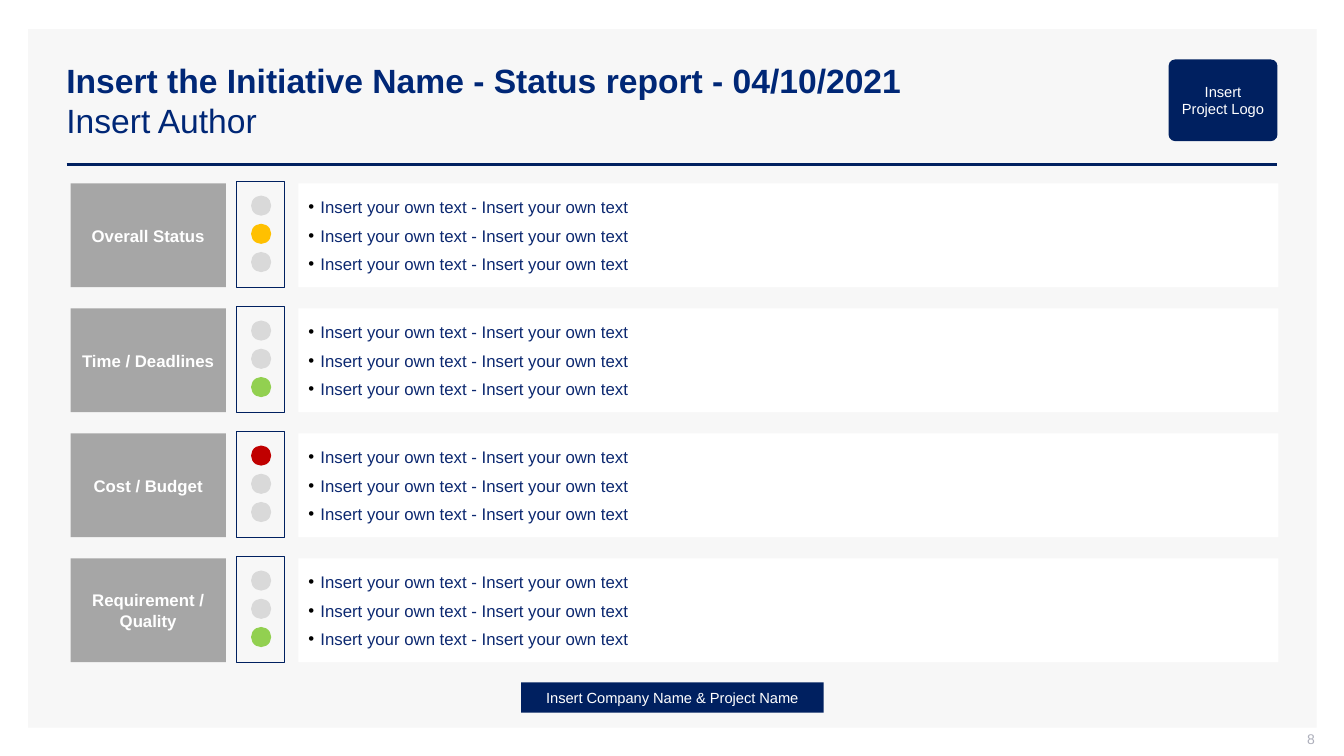
from lxml import etree
from pptx import Presentation
from pptx.dml.color import RGBColor
from pptx.enum.shapes import MSO_CONNECTOR, MSO_SHAPE as Shape
from pptx.enum.text import MSO_ANCHOR, PP_ALIGN as Align
from pptx.oxml.ns import qn
from pptx.util import Inches, Pt

NAVY = RGBColor(0x00, 0x20, 0x60)
TITLE_BLUE = RGBColor(0x00, 0x27, 0x76)
TEXT_BLUE = RGBColor(0x0C, 0x28, 0x70)
PANEL_GRAY = RGBColor(0xF7, 0xF7, 0xF7)
LABEL_GRAY = RGBColor(0xA6, 0xA6, 0xA6)
NUMBER_GRAY = RGBColor(0xAD, 0xAF, 0xBB)
WHITE = RGBColor(0xFF, 0xFF, 0xFF)
OFF = RGBColor(0xD9, 0xD9, 0xD9)
RED = RGBColor(0xC0, 0x00, 0x00)
AMBER = RGBColor(0xFF, 0xC0, 0x00)
GREEN = RGBColor(0x92, 0xD0, 0x50)

STATUSES = [
    ("Overall Status", (OFF, AMBER, OFF)),
    ("Time / Deadlines", (OFF, OFF, GREEN)),
    ("Cost / Budget", (RED, OFF, OFF)),
    ("Requirement / Quality", (OFF, OFF, GREEN)),
]
REMARKS = ["Insert your own text - Insert your own text"] * 3
ROW_TOP, ROW_PITCH, ROW_HEIGHT = 1.82, 1.24, 1.03
LAMP_PITCH = 0.28


class StatusSlide:
    """Draws the elements of a status report in one style on one slide."""

    font = "Arial"

    def __init__(self, slide):
        self.slide = slide

    def box(self, left, top, width, height, fill=None, kind=Shape.RECTANGLE, line=None):
        shape = self.slide.shapes.add_shape(
            kind, Inches(left), Inches(top), Inches(width), Inches(height))
        shape.shadow.inherit = False
        if fill is None:
            shape.fill.background()
        else:
            shape.fill.solid()
            shape.fill.fore_color.rgb = fill
        if line is None:
            shape.line.fill.background()
        else:
            shape.line.color.rgb = line
            shape.line.width = Pt(0.75)
        return shape

    def text_box(self, left, top, width, height):
        return self.slide.shapes.add_textbox(
            Inches(left), Inches(top), Inches(width), Inches(height))

    def frame(self, shape, insets=(0.1, 0.05, 0.1, 0.05)):
        frame = shape.text_frame
        frame.word_wrap = True
        frame.vertical_anchor = MSO_ANCHOR.MIDDLE
        (frame.margin_left, frame.margin_top,
         frame.margin_right, frame.margin_bottom) = map(Inches, insets)
        return frame

    def run(self, paragraph, text, size, color, bold=False):
        run = paragraph.add_run()
        run.text = text
        run.font.name = self.font
        run.font.size = Pt(size)
        run.font.bold = bold
        run.font.color.rgb = color

    def caption(self, shape, text, size, color=WHITE, bold=False,
                align=Align.CENTER, **frame_style):
        paragraph = self.frame(shape, **frame_style).paragraphs[0]
        paragraph.alignment = align
        self.run(paragraph, text, size, color, bold)

    def bullets(self, shape, remarks):
        frame = self.frame(shape)
        for index, remark in enumerate(remarks):
            paragraph = frame.add_paragraph() if index else frame.paragraphs[0]
            paragraph.alignment = Align.LEFT
            if index:
                paragraph.space_before = Pt(6)
            props = paragraph._p.get_or_add_pPr()
            props.set("marL", str(Inches(0.12)))
            props.set("indent", str(-Inches(0.12)))
            bullet_color = etree.SubElement(props, qn("a:buClr"))
            etree.SubElement(bullet_color, qn("a:srgbClr"), val="000000")
            etree.SubElement(props, qn("a:buFont"), typeface=self.font)
            etree.SubElement(props, qn("a:buChar"), char="•")
            self.run(paragraph, remark, 12, TEXT_BLUE)

    def rule(self, left, right, top):
        rule = self.slide.shapes.add_connector(
            MSO_CONNECTOR.STRAIGHT, Inches(left), Inches(top), Inches(right), Inches(top))
        rule.line.color.rgb = NAVY
        rule.line.width = Pt(2)
        etree.SubElement(rule._element.spPr, qn("a:effectLst"))

    def title(self, heading, author):
        title = self.text_box(0.56, 0.4, 11, 1.19)
        paragraph = self.frame(title).paragraphs[0]
        self.run(paragraph, heading, 24, TITLE_BLUE, bold=True)
        paragraph.add_line_break()
        self.run(paragraph, author, 24, TITLE_BLUE)

    def traffic_light(self, top, lamps):
        self.box(2.35, top - 0.02, 0.47, 1.05, line=NAVY)
        for index, lamp in enumerate(lamps):
            self.box(2.49, top + 0.12 + index * LAMP_PITCH, 0.2, 0.2, lamp, Shape.OVAL)

    def status_row(self, top, label, lamps, remarks):
        self.bullets(self.box(2.96, top, 9.72, ROW_HEIGHT, WHITE), remarks)
        self.caption(self.box(0.7, top, 1.54, ROW_HEIGHT, LABEL_GRAY), label, 12,
                     bold=True, insets=(0, 0.05, 0, 0.05))
        self.traffic_light(top, lamps)


def main():
    deck = Presentation()
    deck.slide_width, deck.slide_height = Inches(13.33), Inches(7.5)
    report = StatusSlide(deck.slides.add_slide(deck.slide_layouts[6]))

    report.box(0.28, 0.29, 12.78, 6.93, PANEL_GRAY)
    report.rule(0.66, 12.67, 1.63)
    report.title("Insert the Initiative Name - Status report - 04/10/2021", "Insert Author")
    report.caption(report.text_box(10.04, 7.25, 3, 0.21), "8", 10, NUMBER_GRAY,
                   align=Align.RIGHT, insets=(0.1, 0, 0, 0.05))

    project_logo = report.box(11.59, 0.59, 1.08, 0.81, NAVY, Shape.ROUNDED_RECTANGLE)
    project_logo.adjustments[0] = 0.08
    report.caption(project_logo, "Insert Project Logo", 10.5)
    report.caption(report.box(5.17, 6.77, 3, 0.3, NAVY),
                   "Insert Company Name & Project Name", 10.5)

    for index, (label, lamps) in enumerate(STATUSES):
        report.status_row(ROW_TOP + index * ROW_PITCH, label, lamps, REMARKS)

    deck.save("out.pptx")


if __name__ == "__main__":
    main()
